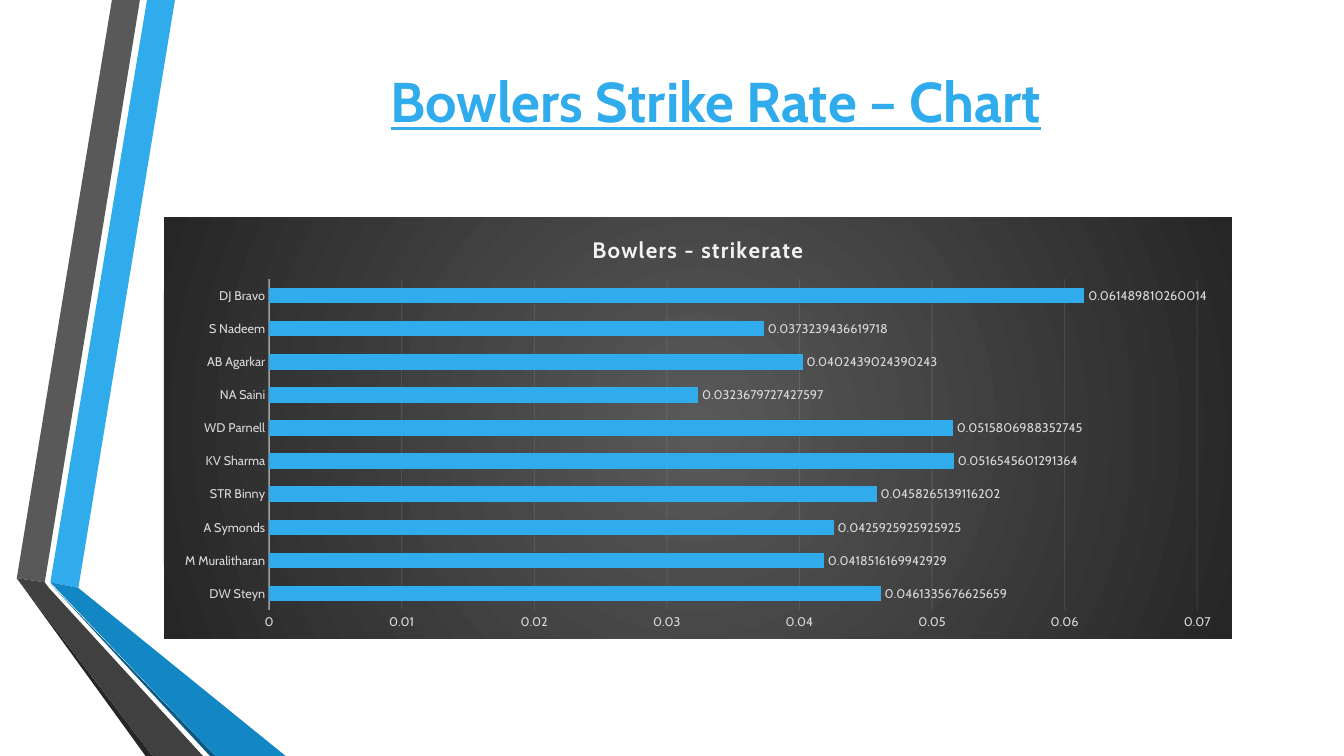
"""Build a slide with a bar chart of bowlers' strike rates."""
import pptx
import pptx.chart.data
import pptx.dml.color
import pptx.enum.chart
import pptx.enum.text
import pptx.oxml
import pptx.oxml.ns
import pptx.util

Pt = pptx.util.Pt
FONT = "Cabin"
COLORS = {
    "blue": "30ACEC", "mid_blue": "1287C3", "deep_blue": "0C5A82",
    "gray": "595959", "dark_gray": "404040", "charcoal": "262626",
    "label": "D9D9D9", "light": "F2F2F2",
}
TITLE = "Bowlers Strike Rate – Chart"
TITLE_BOX = (116.8, 43.2, 789.1, 56.9)
CHART_TITLE = "Bowlers - strikerate"
CHART_BOX = (117, 155.2, 763, 301)
PLOT_BOX = (75.2, 44.2, 663, 236.4)
STRIKE_RATES = {
    "DW Steyn": "0.0461335676625659",
    "M Muralitharan": "0.0418516169942929",
    "A Symonds": "0.0425925925925925",
    "STR Binny": "0.0458265139116202",
    "KV Sharma": "0.0516545601291364",
    "WD Parnell": "0.0515806988352745",
    "NA Saini": "0.0323679727427597",
    "AB Agarkar": "0.0402439024390243",
    "S Nadeem": "0.0373239436619718",
    "DJ Bravo": "0.061489810260014",
}
RIBBONS = [
    ("blue", [(36.2, 416.2), (55.7, 420), (124.6, 0), (104.6, 0)]),
    ("gray", [(100, 0), (80, 0), (11.8, 412.6), (31.7, 415.6)]),
    ("charcoal", [(11.8, 412.6), (104.5, 540), (108.7, 540)]),
    ("deep_blue", [(36, 416.9), (149.8, 540), (154.1, 540)]),
    ("mid_blue", [(36, 416.2), (154.1, 540), (203.8, 540), (55.7, 420)]),
    ("dark_gray", [(145.4, 540), (34.6, 420), (31.7, 415.6), (11.8, 412.6), (108.7, 540)]),
]


def rgb(name):
    return pptx.dml.color.RGBColor.from_string(COLORS[name])


def style_font(font, color, **values):
    for key, value in {"name": FONT, **values}.items():
        setattr(font, key, value)
    font.color.rgb = rgb(color)


def style_line(line, color, width, opacity):
    line.width = Pt(width)
    line.color.rgb = rgb(color)
    swatch = line.fill._xPr.find(".//" + pptx.oxml.ns.qn("a:srgbClr"))
    alpha = swatch.makeelement(pptx.oxml.ns.qn("a:alpha"), {"val": str(opacity * 1000)})
    swatch.append(alpha)


def add_ribbon(slide, color, points):
    builder = slide.shapes.build_freeform(*points[0], scale=Pt(1))
    builder.add_line_segments(points[1:], close=True)
    ribbon = builder.convert_to_shape()
    ribbon.shadow.inherit = False
    ribbon.fill.solid()
    ribbon.fill.fore_color.rgb = rgb(color)
    ribbon.line.fill.background()


def add_title(slide):
    title = slide.shapes.title
    title.left, title.top, title.width, title.height = map(Pt, TITLE_BOX)
    frame = title.text_frame
    frame.text = TITLE
    frame.vertical_anchor = pptx.enum.text.MSO_ANCHOR.MIDDLE
    para = frame.paragraphs[0]
    para.alignment = pptx.enum.text.PP_ALIGN.CENTER
    style_font(para.runs[0].font, "blue", size=Pt(40), bold=True, underline=True)


def shade_chart(chart):
    stops = "".join(
        f'<a:gs pos="{position}"><a:srgbClr val="{COLORS[name]}"/></a:gs>'
        for position, name in [(0, "gray"), (100000, "charcoal")])
    background = pptx.oxml.parse_xml(
        f'<c:spPr {pptx.oxml.ns.nsdecls("c", "a")}><a:gradFill><a:gsLst>{stops}</a:gsLst>'
        '<a:path path="circle"><a:fillToRect l="50000" t="50000" r="50000" b="50000"/>'
        '</a:path></a:gradFill><a:ln><a:noFill/></a:ln></c:spPr>')
    chart._chartSpace.chart.addnext(background)


def place_plot(chart):
    sizes = "".join(f'<c:{key} val="{length / whole}"/>'
                    for key, length, whole in zip("xywh", PLOT_BOX, CHART_BOX[2:] * 2))
    layout = pptx.oxml.parse_xml(
        f'<c:layout {pptx.oxml.ns.nsdecls("c")}><c:manualLayout><c:layoutTarget val="inner"/>'
        f'<c:xMode val="edge"/><c:yMode val="edge"/>{sizes}</c:manualLayout></c:layout>')
    plot_area = chart._chartSpace.chart.plotArea
    for previous in plot_area.findall(pptx.oxml.ns.qn("c:layout")):
        plot_area.remove(previous)
    plot_area.insert(0, layout)


def label_bars(series):
    for point_index, rate in enumerate(STRIKE_RATES.values()):
        label = series.points[point_index].data_label
        label.text_frame.text = rate
        label.position = pptx.enum.chart.XL_LABEL_POSITION.OUTSIDE_END
        span = label.text_frame.paragraphs[0].runs[0]
        style_font(span.font, "label", size=Pt(9))


def add_rate_chart(slide):
    enums = pptx.enum.chart
    data = pptx.chart.data.CategoryChartData()
    data.categories = list(STRIKE_RATES)
    data.add_series("Series 1", [round(float(rate), 6) for rate in STRIKE_RATES.values()])
    chart = slide.shapes.add_chart(
        enums.XL_CHART_TYPE.BAR_CLUSTERED, *map(Pt, CHART_BOX), data).chart
    style_font(chart.font, "label", size=Pt(9))
    chart.has_legend = False
    title_frame = chart.chart_title.text_frame
    title_frame.text = CHART_TITLE
    span = title_frame.paragraphs[0].runs[0]
    style_font(span.font, "light", size=Pt(16), bold=True)
    span.font._element.set("spc", "100")

    plot = chart.plots[0]
    for key, value in {"gap_width": 115, "overlap": -20, "vary_by_categories": False}.items():
        setattr(plot, key, value)
    series = plot.series[0]
    series.format.fill.solid()
    series.format.fill.fore_color.rgb = rgb("blue")
    label_bars(series)
    labels = series.data_labels
    labels.show_value = True
    labels.position = enums.XL_LABEL_POSITION.OUTSIDE_END
    style_font(labels.font, "label", size=Pt(9))

    for axis in (chart.category_axis, chart.value_axis):
        axis.major_tick_mark = axis.minor_tick_mark = enums.XL_TICK_MARK.NONE
        style_font(axis.tick_labels.font, "label", size=Pt(9))
    style_line(chart.category_axis.format.line, "light", 1, 54)
    scale = chart.value_axis
    for key, value in {"minimum_scale": 0, "maximum_scale": 0.07, "major_unit": 0.01,
                       "has_major_gridlines": True}.items():
        setattr(scale, key, value)
    scale.format.line.fill.background()
    style_line(scale.major_gridlines.format.line, "light", 0.75, 10)
    shade_chart(chart)
    place_plot(chart)


def main():
    deck = pptx.Presentation()
    deck.slide_width, deck.slide_height = Pt(960), Pt(540)
    slide = deck.slides.add_slide(deck.slide_layouts.get_by_name("Title Only"))
    for color, points in RIBBONS:
        add_ribbon(slide, color, points)
    add_title(slide)
    add_rate_chart(slide)
    deck.save("out.pptx")


if __name__ == "__main__":
    main()
